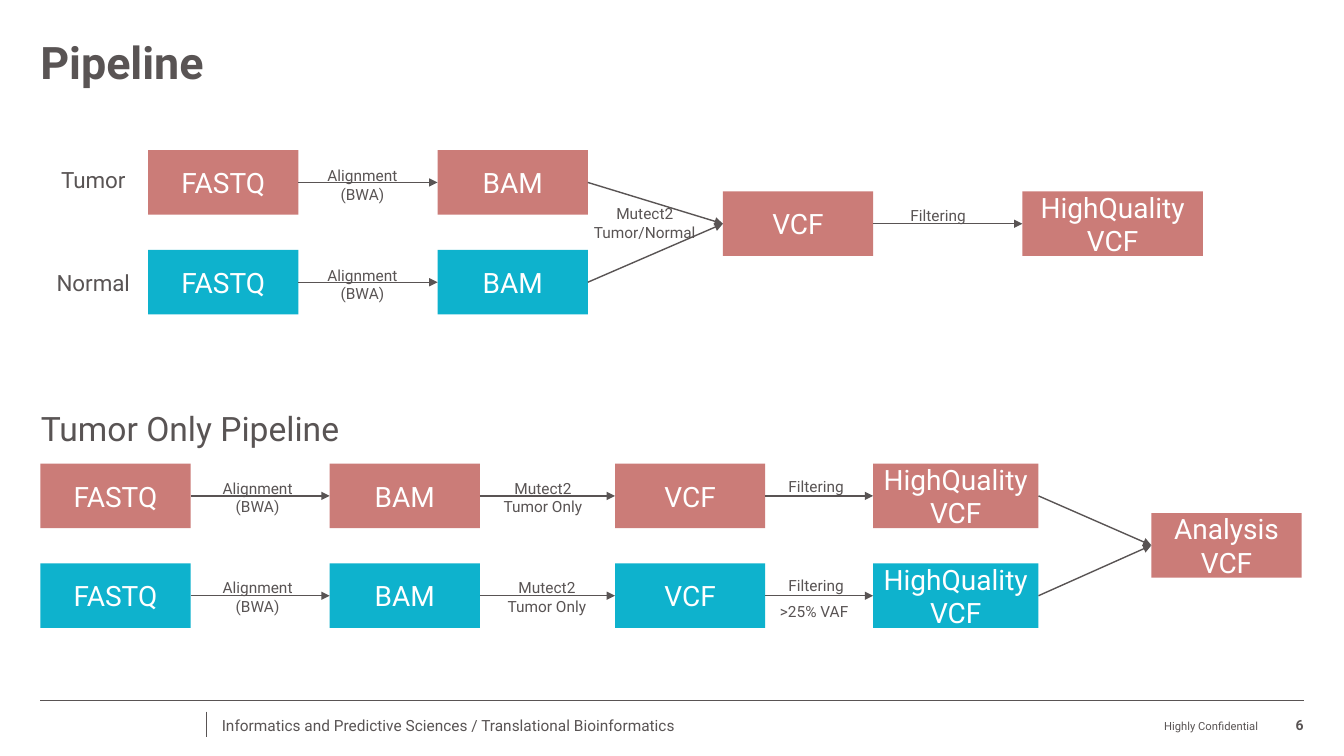
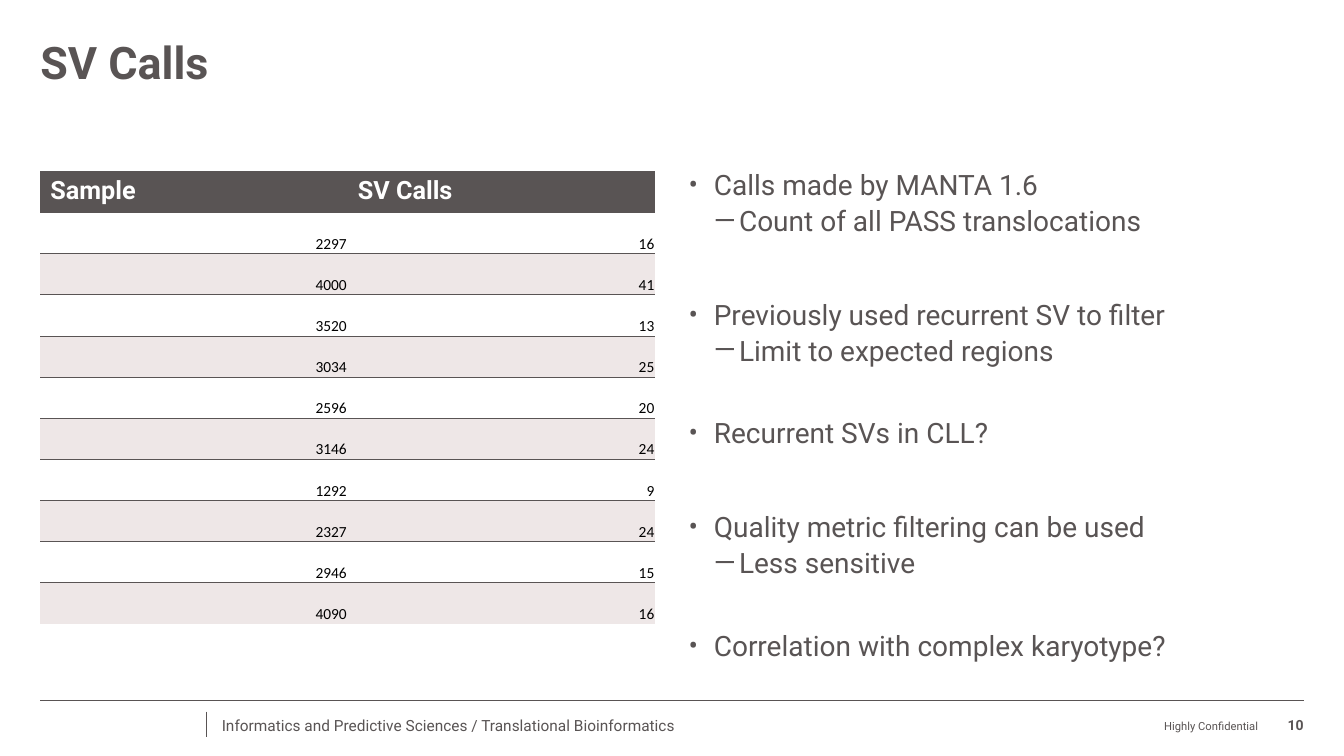
from dataclasses import dataclass

from lxml import etree
from pptx import Presentation
from pptx.dml.color import RGBColor
from pptx.enum.shapes import MSO_CONNECTOR, MSO_SHAPE
from pptx.enum.text import MSO_ANCHOR, PP_ALIGN
from pptx.oxml.ns import qn
from pptx.util import Inches, Pt


@dataclass(frozen=True)
class Theme:
    font: str = "Roboto"
    number_font: str = "Calibri"
    ink: str = "595454"
    tumor: str = "CB7C78"
    normal: str = "0EB2CD"
    band: str = "EEE7E7"
    white: str = "FFFFFF"
    black: str = "000000"
    title: int = 32
    heading: int = 24
    body: int = 20
    header: int = 18
    side: int = 16
    label: int = 11
    page: int = 10
    notice: int = 8


T = Theme()
BOX_W, BOX_H = 1.49, 0.64
NO_GRID_STYLE = "{2D5ABB26-0587-4C30-8999-92F81FD0307C}"

SV_CALLS = [
    (2297, 16), (4000, 41), (3520, 13), (3034, 25), (2596, 20),
    (3146, 24), (1292, 9), (2327, 24), (2946, 15), (4090, 16),
]

NOTES = [
    (0, 0, "Calls made by MANTA 1.6"),
    (1, 4, "Count of all PASS translocations"),
    (0, 45.5, "Previously used recurrent SV to filter"),
    (1, 4, "Limit to expected regions"),
    (0, 37.5, "Recurrent SVs in CLL?"),
    (0, 45.5, "Quality metric filtering can be used"),
    (1, 4, "Less sensitive"),
    (0, 37.5, "Correlation with complex karyotype?"),
]


def style_runs(p, size, color=T.ink, bold=False, font=T.font):
    for r in p.runs:
        r.font.name = font
        r.font.size = Pt(size)
        r.font.bold = bold
        r.font.color.rgb = RGBColor.from_string(color)


def add_text(s, text, at, size, align=PP_ALIGN.LEFT, anchor=MSO_ANCHOR.TOP, bold=False):
    tf = s.shapes.add_textbox(*map(Inches, at)).text_frame
    tf.word_wrap = True
    tf.vertical_anchor = anchor
    tf.margin_left = tf.margin_right = tf.margin_top = tf.margin_bottom = 0
    tf.text = text
    p = tf.paragraphs[0]
    p.alignment = align
    style_runs(p, size, bold=bold)
    return tf


def add_label(s, text, x, y, w, size=T.label):
    add_text(s, text, (x, y, w, 0.14), size, PP_ALIGN.CENTER)


def add_line(s, start, end, width):
    line = s.shapes.add_connector(MSO_CONNECTOR.STRAIGHT, *map(Inches, start + end))
    line.line.color.rgb = RGBColor.from_string(T.ink)
    line.line.width = Pt(width)
    etree.SubElement(line._element.spPr, qn("a:effectLst"))
    return line


def add_arrow(s, source, target):
    arrow = add_line(s, (0, 0), (1, 1), 1)
    arrow.begin_connect(source, 3)
    arrow.end_connect(target, 1)
    etree.SubElement(arrow.line._get_or_add_ln(), qn("a:tailEnd"), type="triangle")


def add_box(s, text, x, y, color, w=BOX_W):
    box = s.shapes.add_shape(MSO_SHAPE.RECTANGLE, *map(Inches, (x, y, w, BOX_H)))
    box.shadow.inherit = False
    box.fill.solid()
    box.fill.fore_color.rgb = RGBColor.from_string(color)
    box.line.fill.background()
    tf = box.text_frame
    tf.word_wrap = True
    tf.vertical_anchor = MSO_ANCHOR.MIDDLE
    tf.text = text
    p = tf.paragraphs[0]
    p.alignment = PP_ALIGN.CENTER
    style_runs(p, T.body, T.white)
    return box


def add_chain(s, y, color, steps):
    boxes = [add_box(s, text, x, y, color, w) for text, x, w in steps]
    for source, target in zip(boxes, boxes[1:]):
        add_arrow(s, source, target)
    return boxes


def add_merge(s, sources, target):
    for source in sources:
        add_arrow(s, source, target)


def add_base(prs, title, number):
    s = prs.slides.add_slide(prs.slide_layouts[6])
    add_line(s, (0.4, 6.95), (12.93, 6.95), 0.5)
    add_line(s, (2.05, 7.06), (2.05, 7.31), 0.5)
    add_text(s, "Informatics and Predictive Sciences / Translational Bioinformatics",
             (2.2, 7.07, 4.8, 0.25), T.label, anchor=MSO_ANCHOR.MIDDLE)
    add_text(s, "Highly Confidential", (8.97, 7.03, 3.51, 0.24), T.notice,
             PP_ALIGN.RIGHT, MSO_ANCHOR.BOTTOM)
    add_text(s, str(number), (12.58, 7.03, 0.35, 0.25), T.page,
             PP_ALIGN.RIGHT, MSO_ANCHOR.BOTTOM, bold=True)
    tf = add_text(s, title, (0.4, 0.4, 12.53, 1), T.title, bold=True)
    tf.paragraphs[0].line_spacing = 0.9
    return s


def add_paired_pipeline(s):
    steps = [("FASTQ", 1.47, BOX_W), ("BAM", 4.34, BOX_W)]
    rows = [("Tumor", 1.49, 1.65, T.tumor), ("Normal", 2.48, 2.67, T.normal)]
    bams = []
    for name, y, name_y, color in rows:
        bams.append(add_chain(s, y, color, steps)[-1])
        add_label(s, "Alignment (BWA)", 3.15, y + 0.16, 0.89)
        add_label(s, name, 0.42, name_y, 1.01, T.side)
    vcf, _ = add_chain(s, 1.9, T.tumor,
                       [("VCF", 7.17, BOX_W), ("HighQuality VCF", 10.14, 1.79)])
    add_merge(s, bams, vcf)
    add_label(s, "Mutect2 Tumor/Normal", 5.89, 2.03, 1.01)
    add_label(s, "Filtering", 8.8, 2.05, 1.01)


def add_tumor_only_pipeline(s):
    add_label(s, "Tumor Only Pipeline", -0.04, 4.05, 3.85, T.heading)
    steps = [("FASTQ", 0.4, BOX_W), ("BAM", 3.27, BOX_W),
             ("VCF", 6.1, BOX_W), ("HighQuality VCF", 8.66, 1.64)]
    results = []
    for y, color, caller_x in [(4.6, T.tumor, 4.94), (5.59, T.normal, 4.98)]:
        results.append(add_chain(s, y, color, steps)[-1])
        add_label(s, "Alignment (BWA)", 2.11, y + 0.15, 0.89)
        add_label(s, "Mutect2 Tumor Only", caller_x, y + 0.15, 0.89)
        add_label(s, "Filtering", 7.59, y + 0.13, 1.01)
    add_label(s, ">25% VAF", 7.57, 5.97, 1.01)
    add_merge(s, results, add_box(s, "Analysis VCF", 11.42, 5.09, T.tumor))


def fill_cell(cell, color):
    cell.fill.solid()
    cell.fill.fore_color.rgb = RGBColor.from_string(color)


def add_top_border(cell):
    ln = etree.Element(qn("a:lnT"), w=str(Pt(0.5)))
    fill = etree.SubElement(ln, qn("a:solidFill"))
    etree.SubElement(fill, qn("a:srgbClr"), val=T.ink)
    cell._tc.get_or_add_tcPr().insert(0, ln)


def format_number_cell(cell, banded):
    cell.margin_left = cell.margin_right = cell.margin_top = Inches(0.01)
    cell.margin_bottom = 0
    cell.vertical_anchor = MSO_ANCHOR.BOTTOM
    p = cell.text_frame.paragraphs[0]
    p.alignment = PP_ALIGN.RIGHT
    style_runs(p, T.label, T.black, font=T.number_font)
    if banded:
        fill_cell(cell, T.band)
    else:
        cell.fill.background()
        add_top_border(cell)


def add_calls_table(s):
    rows = [("Sample", "SV Calls")] + SV_CALLS
    at = map(Inches, (0.4, 1.7, 6.1, 4.49))
    table = s.shapes.add_table(len(rows), 2, *at).table
    table.horz_banding = False
    table._tbl.tblPr.find(qn("a:tableStyleId")).text = NO_GRID_STYLE
    for i, row in enumerate(rows):
        for j, value in enumerate(row):
            cell = table.cell(i, j)
            cell.text = str(value)
            if i == 0:
                fill_cell(cell, T.ink)
                style_runs(cell.text_frame.paragraphs[0], T.header, T.white, bold=True)
            else:
                format_number_cell(cell, i % 2 == 0)


def add_notes_list(s):
    tf = add_text(s, "", (6.83, 1.7, 6.1, 5), T.body)
    for i, (level, before, text) in enumerate(NOTES):
        p = tf.add_paragraph() if i else tf.paragraphs[0]
        p.text = text
        p.level = level
        p.line_spacing = 0.9
        p.space_before = Pt(before)
        style_runs(p, T.body)
        pPr = p._p.get_or_add_pPr()
        pPr.set("marL", str(Inches(0.25 * (level + 1))))
        pPr.set("indent", str(Inches(-0.25)))
        etree.SubElement(pPr, qn("a:buFont"), typeface=T.font)
        etree.SubElement(pPr, qn("a:buChar"), char="•—"[level])


def main():
    prs = Presentation()
    prs.slide_width, prs.slide_height = Inches(13.33), Inches(7.5)

    s = add_base(prs, "Pipeline", 6)
    add_paired_pipeline(s)
    add_tumor_only_pipeline(s)

    s = add_base(prs, "SV Calls", 10)
    add_calls_table(s)
    add_notes_list(s)

    prs.save("out.pptx")


if __name__ == "__main__":
    main()
